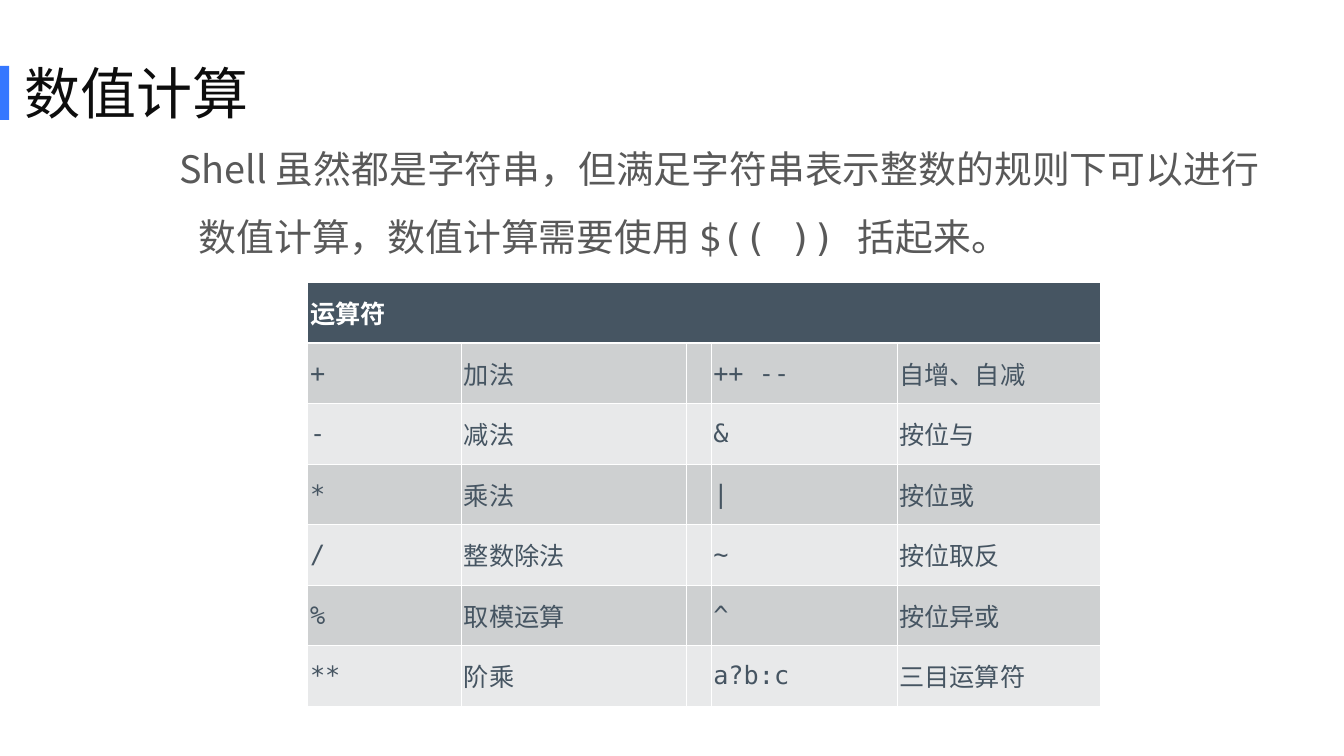
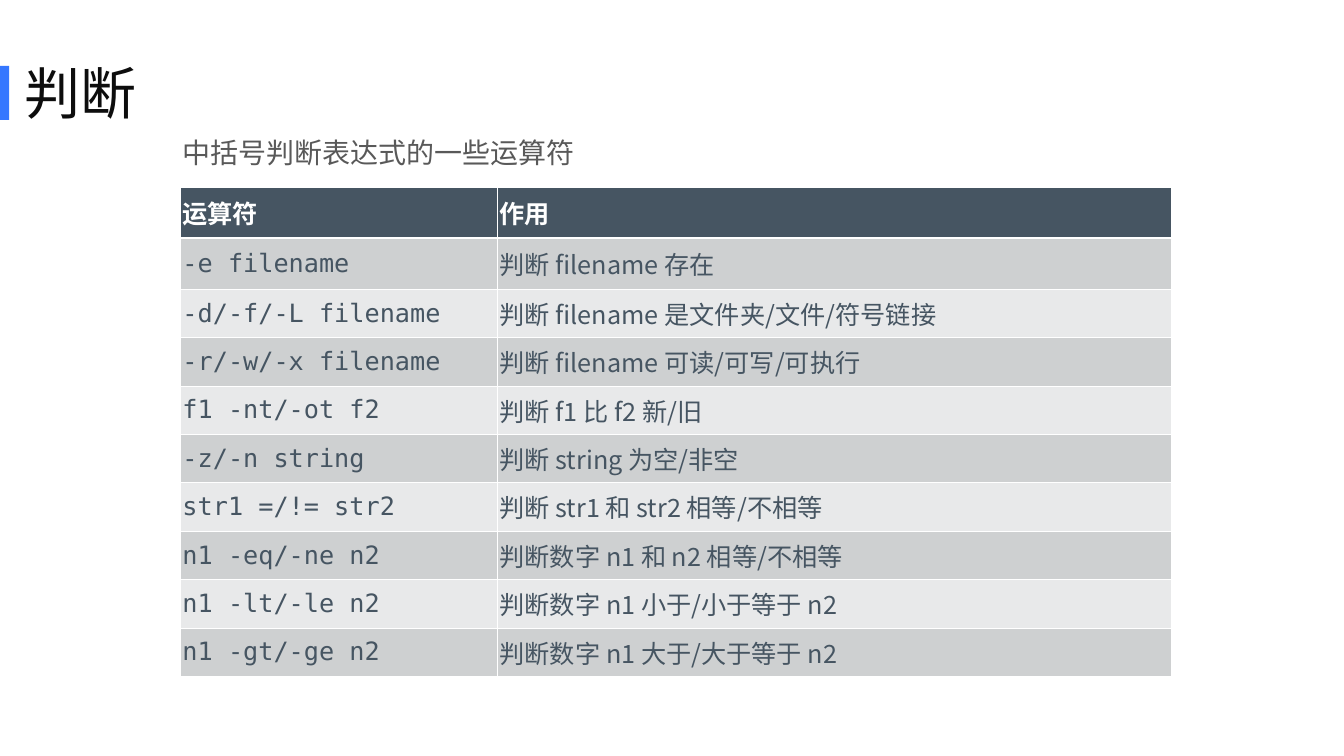
import pptx
import pptx.util
import pptx.dml.color
import pptx.enum.shapes
import pptx.enum.text
import pptx.oxml
import pptx.oxml.ns

Inches = pptx.util.Inches
Pt = pptx.util.Pt
qn = pptx.oxml.ns.qn
MIDDLE = pptx.enum.text.MSO_ANCHOR.MIDDLE

SANS = "Noto Sans CJK SC"
MONO = "DejaVu Sans Mono"
ACCENT, TITLE, BODY = "3577FF", "0D0D0D", "595959"
HEADER, WHITE = "465562", "FFFFFF"
BANDS = ["E8E9EA", "CED0D1"]


def rgb(value):
    return pptx.dml.color.RGBColor.from_string(value)


def style(r, size, color, font=SANS, bold=False):
    r.font.size = Pt(size)
    r.font.bold = bold
    r.font.color.rgb = rgb(color)
    r.font.name = font
    ea = r.font._element.makeelement(qn("a:ea"), {"typeface": font})
    r.font._element.find(qn("a:latin")).addnext(ea)


pages = [
    {
        "title": "数值计算",
        "body": [
            ("Shell 虽然都是字符串，但满足字符串表示整数的规则下可以进行数值计算，数值计算需要使用 ", SANS),
            ("$(( )) ", MONO),
            ("括起来。", SANS),
        ],
        "body_size": 54,
        "body_at": (3.5, 2.38, 21.65, 11.12),
        "table_at": (6.1, 5.61),
        "cols": [3.05, 4.46, 0.49, 3.69, 4.04],
        "heights": [1.2] * 7,
        "code_cols": [0, 3],
        "rows": [
            ["运算符", "", "", "", ""],
            ["+", "加法", "", "++ --", "自增、自减"],
            ["-", "减法", "", "&", "按位与"],
            ["*", "乘法", "", "|", "按位或"],
            ["/", "整数除法", "", "~", "按位取反"],
            ["%", "取模运算", "", "^", "按位异或"],
            ["**", "阶乘", "", "a?b:c", "三目运算符"],
        ],
    },
    {
        "title": "判断",
        "body": [("中括号判断表达式的一些运算符", SANS)],
        "body_size": 40,
        "body_at": (3.57, 2.3, 21.4, 10),
        "table_at": (3.57, 3.72),
        "cols": [6.29, 13.37],
        "heights": [1.01] * 2 + [0.96] * 8,
        "code_cols": [0],
        "rows": [
            ["运算符", "作用"],
            ["-e filename", "判断 filename 存在"],
            ["-d/-f/-L filename", "判断 filename 是文件夹/文件/符号链接"],
            ["-r/-w/-x filename", "判断 filename 可读/可写/可执行"],
            ["f1 -nt/-ot f2", "判断 f1 比 f2 新/旧"],
            ["-z/-n string", "判断 string 为空/非空"],
            ["str1 =/!= str2", "判断 str1 和 str2 相等/不相等"],
            ["n1 -eq/-ne n2", "判断数字 n1 和 n2 相等/不相等"],
            ["n1 -lt/-le n2", "判断数字 n1 小于/小于等于 n2"],
            ["n1 -gt/-ge n2", "判断数字 n1 大于/大于等于 n2"],
        ],
    },
]

prs = pptx.Presentation()
prs.slide_width = Inches(26.66)
prs.slide_height = Inches(15)
layout = prs.slide_layouts[1]

for page in pages:
    s = prs.slides.add_slide(layout)
    title, body = s.placeholders
    boxes = [(title, (0.42, 0.73, 14.65, 2.19)), (body, page["body_at"])]
    for sp, at in boxes:
        sp.left, sp.top, sp.width, sp.height = [Inches(v) for v in at]
        tf = sp.text_frame
        tf.word_wrap = True
        tf.auto_size = pptx.enum.text.MSO_AUTO_SIZE.NONE
        tf.margin_left = tf.margin_right = Inches(0.06)
        tf.margin_top = tf.margin_bottom = Inches(0.06)

    tf = title.text_frame
    tf.text = page["title"]
    tf.vertical_anchor = MIDDLE
    p = tf.paragraphs[0]
    p.alignment = pptx.enum.text.PP_ALIGN.LEFT
    style(p.runs[0], 80, TITLE)

    p = body.text_frame.paragraphs[0]
    pPr = p._p.get_or_add_pPr()
    pPr.set("marL", str(Inches(0.38)))
    pPr.set("indent", str(-Inches(0.38)))
    pPr.append(pPr.makeelement(qn("a:buNone"), {}))
    p.line_spacing = 1.5
    p.space_before = Pt(0)
    for text, font in page["body"]:
        r = p.add_run()
        r.text = text
        style(r, page["body_size"], BODY, font)

    cols, heights = page["cols"], page["heights"]
    left, top = page["table_at"]
    table = s.shapes.add_table(
        len(heights), len(cols), Inches(left), Inches(top),
        Inches(sum(cols)), Inches(sum(heights))).table
    for column, width in zip(table.columns, cols):
        column.width = Inches(width)
    for row, height in zip(table.rows, heights):
        row.height = Inches(height)

    for i, texts in enumerate(page["rows"]):
        for j, text in enumerate(texts):
            cell = table.cell(i, j)
            cell.vertical_anchor = MIDDLE
            cell.margin_left = cell.margin_right = Inches(0.05)
            cell.margin_top = cell.margin_bottom = Inches(0.05)
            cell.fill.solid()
            cell.fill.fore_color.rgb = rgb(BANDS[i % 2] if i else HEADER)
            tcPr = cell._tc.get_or_add_tcPr()
            for k, side in enumerate("LRTB"):
                thick = (i, side) in [(0, "B"), (1, "T")]
                ln = pptx.oxml.parse_xml(
                    f'<a:ln{side} xmlns:a="http://schemas.openxmlformats.org/drawingml/2006/main"'
                    f' w="{Pt(3 if thick else 0.96)}"><a:solidFill>'
                    f'<a:srgbClr val="{WHITE}"/></a:solidFill></a:ln{side}>')
                tcPr.insert(k, ln)
            if text:
                cell.text_frame.text = text
                r = cell.text_frame.paragraphs[0].runs[0]
                font = MONO if i and j in page["code_cols"] else SANS
                style(r, 36, HEADER if i else WHITE, font, i == 0)
    if not page["rows"][0][1]:
        table.cell(0, 0).merge(table.cell(0, len(cols) - 1))

bar = s.shapes.add_shape(
    pptx.enum.shapes.MSO_SHAPE.RECTANGLE,
    Inches(-0.06), Inches(1.31), Inches(0.24), Inches(1.07))
bar.shadow.inherit = False
bar.fill.solid()
bar.fill.fore_color.rgb = rgb(ACCENT)
bar.line.fill.background()
layout.shapes.element.insert(2, bar.element)

prs.save("out.pptx")
